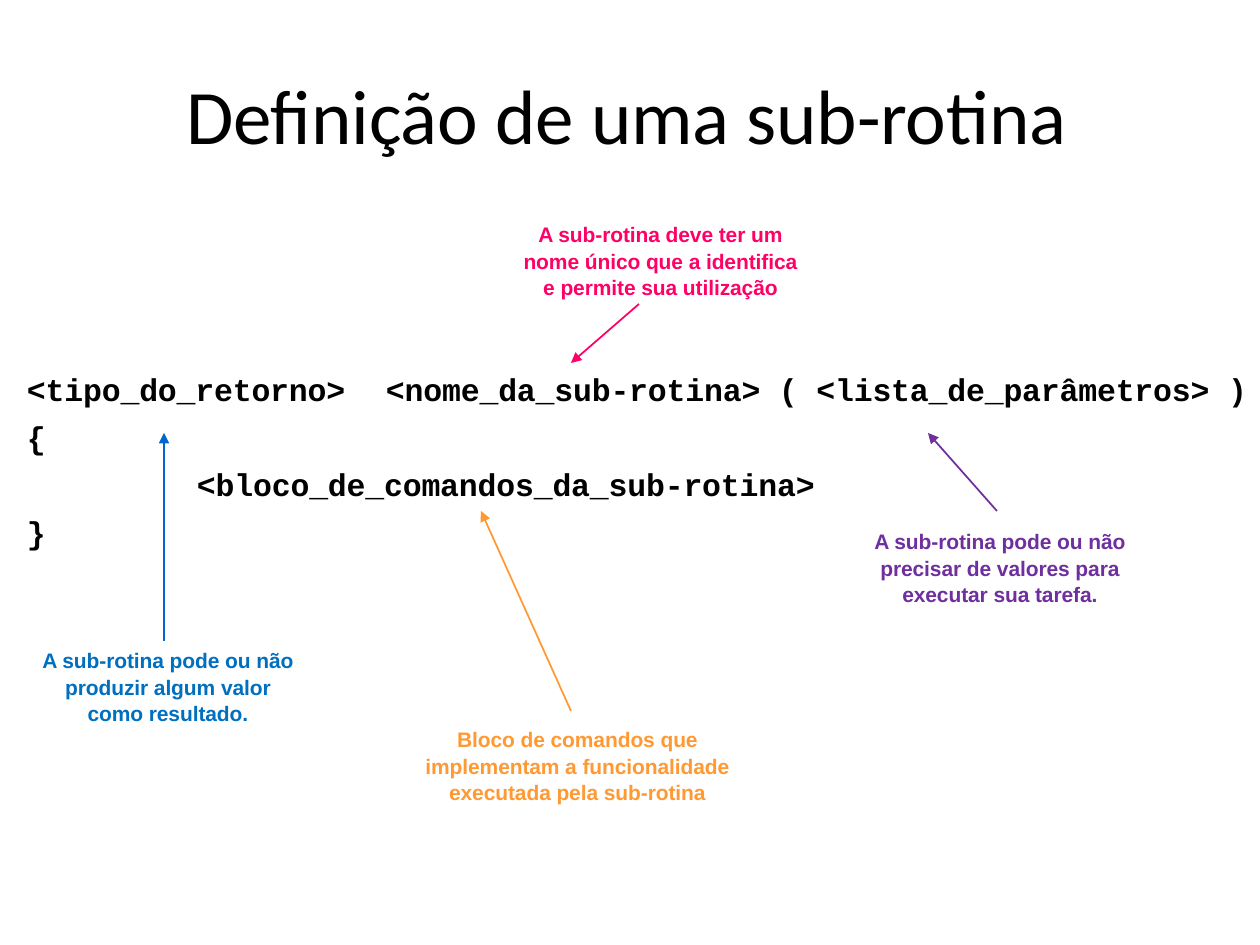
from dataclasses import dataclass

from lxml import etree
from pptx import Presentation
from pptx import util as u
from pptx.dml.color import RGBColor
from pptx.enum import shapes, text
from pptx.oxml import ns

PX = 914400 / 126


@dataclass(frozen=True)
class Theme:
    """Colours, fonts and type sizes of the slide."""
    ink: str = "000000"
    name: str = "FF0066"
    parameters: str = "6F2F9F"
    result: str = "006FC0"
    result_arrow: str = "0066CC"
    block: str = "FF9933"
    title_font: str = "Calibri"
    code_font: str = "Courier New"
    note_font: str = "Arial"
    title_size: int = 44
    code_size: int = 18
    note_size: int = 12


THEME = Theme()


def px(length):
    """Turn px into EMU."""
    return u.Emu(round(length * PX))


def add_frame(slide, box):
    """Add a text box without insets and return its text frame."""
    frame = slide.shapes.add_textbox(*map(px, box)).text_frame
    frame.word_wrap = True
    frame.margin_left = frame.margin_right = 0
    frame.margin_top = frame.margin_bottom = 0
    return frame


def add_run(paragraph, words, font, size, color, bold=True, spacing=-5):
    """Add one styled run; spacing is in hundredths of a point."""
    run = paragraph.add_run()
    run.text = words
    run.font.name = font
    run.font.size = u.Pt(size)
    run.font.bold = bold
    run.font.color.rgb = RGBColor.from_string(color)
    run._r.get_or_add_rPr().set("spc", str(spacing))


def add_title(slide, box, words):
    """Place the slide title."""
    paragraph = add_frame(slide, box).paragraphs[0]
    add_run(paragraph, words, THEME.title_font, THEME.title_size, THEME.ink,
            bold=False, spacing=-10)


def add_code(slide, box, lines, tab, indent):
    """Place the code lines, given as (level, words), with one tab stop."""
    frame = add_frame(slide, box)
    for index, (level, words) in enumerate(lines):
        paragraph = frame.add_paragraph() if index else frame.paragraphs[0]
        properties = paragraph._p.get_or_add_pPr()
        properties.set("marL", str(px(level * indent)))
        if index:
            paragraph.space_before = u.Pt(5.6)
        if "\t" in words:
            tabs = etree.SubElement(properties, ns.qn("a:tabLst"))
            etree.SubElement(tabs, ns.qn("a:tab"), pos=str(px(tab)), algn="l")
        add_run(paragraph, words, THEME.code_font, THEME.code_size, THEME.ink,
                spacing=-10)


def add_arrow(slide, start, end, color):
    """Draw a thin arrow from start to end."""
    arrow = slide.shapes.add_connector(
        shapes.MSO_CONNECTOR.STRAIGHT, *map(px, start + end))
    arrow.line.width = u.Pt(1)
    arrow.line.color.rgb = RGBColor.from_string(color)
    etree.SubElement(arrow.line._get_or_add_ln(), ns.qn("a:tailEnd"), type="triangle")
    etree.SubElement(arrow._element.spPr, ns.qn("a:effectLst"))


def add_note(slide, box, lines, color, start, end, arrow_color=None):
    """Place a centred note and its arrow, whose ends are relative to the box."""
    paragraph = add_frame(slide, box).paragraphs[0]
    paragraph.alignment = text.PP_ALIGN.CENTER
    paragraph.line_spacing = 1.04
    for index, words in enumerate(lines):
        if index:
            paragraph.add_line_break()
        add_run(paragraph, words, THEME.note_font, THEME.note_size, color)
    left, top = box[:2]
    start, end = ((left + x, top + y) for x, y in (start, end))
    add_arrow(slide, start, end, arrow_color or color)


def build():
    """Build and save the slide."""
    presentation = Presentation()
    presentation.slide_width, presentation.slide_height = px(1260), px(945)
    slide = presentation.slides.add_slide(presentation.slide_layouts[6])
    add_title(slide, (186, 67, 900, 96), "Definição de uma sub-rotina")
    add_code(slide, (27, 370, 1228, 180), [
        (0, "<tipo_do_retorno>\t<nome_da_sub-rotina> ( <lista_de_parâmetros> )"),
        (0, "{"),
        (1, "<bloco_de_comandos_da_sub-rotina>"),
        (0, "}"),
    ], tab=359, indent=170)
    add_note(slide, (520, 221, 281, 79),
             ["A sub-rotina deve ter um", "nome único que a identifica",
              "e permite sua utilização"],
             THEME.name, (119, 83), (51, 142))
    add_note(slide, (871, 528, 258, 79),
             ["A sub-rotina pode ou não", "precisar de valores para",
              "executar sua tarefa."],
             THEME.parameters, (126, -17), (57, -95))
    add_note(slide, (39, 647, 258, 79),
             ["A sub-rotina pode ou não", "produzir algum valor",
              "como resultado."],
             THEME.result, (125, -6), (125, -214), THEME.result_arrow)
    add_note(slide, (422, 726, 311, 79),
             ["Bloco de comandos que", "implementam a funcionalidade",
              "executada pela sub-rotina"],
             THEME.block, (149, -15), (59, -215))
    presentation.save("out.pptx")


if __name__ == "__main__":
    build()
